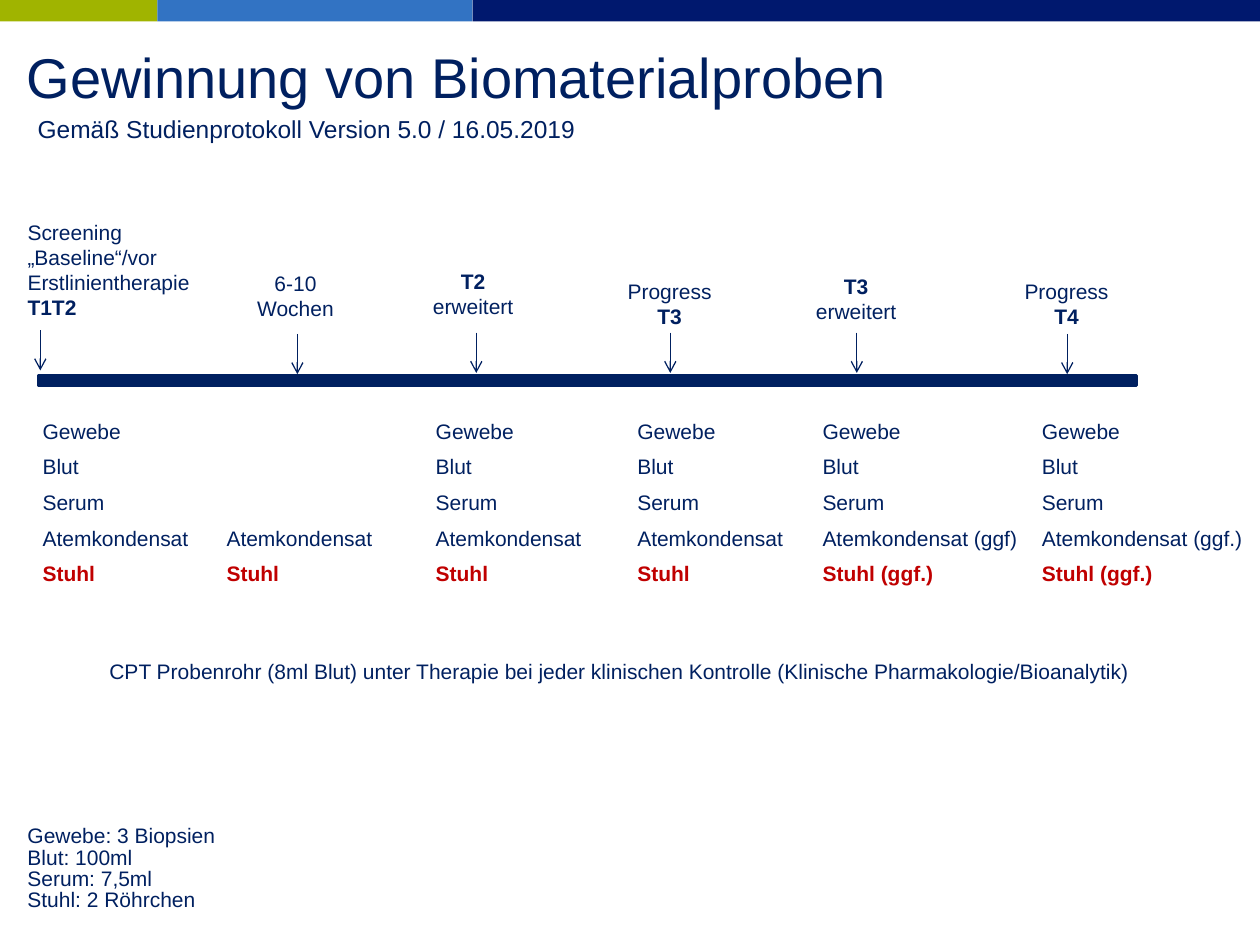
from lxml.etree import SubElement
from pptx import Presentation
from pptx.dml.color import RGBColor
from pptx.enum.shapes import MSO_CONNECTOR, MSO_SHAPE
from pptx.enum.text import MSO_ANCHOR, MSO_AUTO_SIZE, PP_ALIGN
from pptx.oxml.ns import qn
from pptx.util import Inches, Pt

NAVY = "002060"
RED = "C00000"
BANDS = [(0, 1.25, "A0B400"), (1.25, 2.5, "3273C3"), (3.75, 6.25, "00186E")]

# left, top, width, lines with their bold flag, centred
HEADS = [
    (0.12, 1.69, 1.85, [("Screening", False),
                        ("„Baseline“/vor Erstlinientherapie", False),
                        ("T1T2", True)], False),
    (1.94, 2.1, 0.81, [("6-10", False), ("Wochen", False)], True),
    (3.33, 2.08, 0.85, [("T2", True), ("erweitert", False)], True),
    (4.88, 2.16, 0.87, [("Progress", False), ("T3", True)], True),
    (6.37, 2.12, 0.85, [("T3", True), ("erweitert", False)], True),
    (8.03, 2.16, 0.87, [("Progress", False), ("T4", True)], True),
]
ARROWS = [(0.32, 2.62), (2.36, 2.65), (3.78, 2.64),
          (5.32, 2.64), (6.8, 2.64), (8.47, 2.65)]

BASE = ["Gewebe", "Blut", "Serum"]
FULL = BASE + ["Atemkondensat", "Stuhl"]
SAMPLES = [
    (0.24, FULL),
    (1.7, FULL[3:]),
    (3.36, FULL),
    (4.96, FULL),
    (6.43, BASE + ["Atemkondensat (ggf)", "Stuhl (ggf.)"]),
    (8.17, BASE + ["Atemkondensat (ggf.)", "Stuhl (ggf.)"]),
]
WIDTHS = {"Gewebe": 0.82, "Blut": 0.5, "Serum": 0.7, "Atemkondensat": 1.37,
          "Stuhl": 0.62, "Atemkondensat (ggf)": 1.76,
          "Atemkondensat (ggf.)": 1.81, "Stuhl (ggf.)": 1.09}
AMOUNTS = [("Gewebe: 3 Biopsien", 1.7), ("Blut: 100ml", 1.04),
           ("Serum: 7,5ml", 1.2), ("Stuhl: 2 Röhrchen", 1.54)]


def color(code):
    """Turn a hex string into a colour."""
    return RGBColor.from_string(code)


def style(item, values):
    """Set each attribute in a dict of format values."""
    for name, value in values.items():
        setattr(item, name, value)


def write(par, text, size=12, bold=False, code=NAVY):
    """Write one formatted run into a paragraph."""
    run = par.add_run()
    run.text = text
    style(run.font, {"name": "Arial", "size": Pt(size), "bold": bold})
    run.font.color.rgb = color(code)


def add_text(slide, at, lines, wrap=False, center=False, size=12, code=NAVY):
    """Add a text box with one paragraph for each (text, bold) pair."""
    box = slide.shapes.add_textbox(*map(Inches, at))
    frame = box.text_frame
    style(frame, {"word_wrap": wrap,
                  "auto_size": MSO_AUTO_SIZE.SHAPE_TO_FIT_TEXT})
    for i, (text, bold) in enumerate(lines):
        par = frame.add_paragraph() if i else frame.paragraphs[0]
        par.alignment = PP_ALIGN.CENTER if center else PP_ALIGN.LEFT
        write(par, text, size, bold, code)


def add_bar(slide, at, code, line=0):
    """Add a flat rectangle, with an outline if a width is given."""
    bar = slide.shapes.add_shape(MSO_SHAPE.RECTANGLE, *map(Inches, at))
    bar.shadow.inherit = False
    bar.fill.solid()
    bar.fill.fore_color.rgb = color(code)
    if line:
        bar.line.color.rgb = color(code)
        bar.line.width = Pt(line)
    else:
        bar.line.fill.background()


def add_arrow(slide, x, top, length=0.32):
    """Add an arrow that points down to the time line."""
    ends = map(Inches, (x, top, x, top + length))
    arrow = slide.shapes.add_connector(MSO_CONNECTOR.STRAIGHT, *ends)
    arrow.line.color.rgb = color(NAVY)
    arrow.line.width = Pt(0.75)
    props = arrow._element.spPr
    SubElement(props.find(qn("a:ln")), qn("a:tailEnd"), type="arrow")
    SubElement(props, qn("a:effectLst"))


def set_title(slide, text):
    """Place and format the title."""
    title = slide.shapes.title
    style(title, {"left": Inches(-0.59), "top": Inches(0.29),
                  "width": Inches(8.43), "height": Inches(0.64)})
    style(title.text_frame, {"word_wrap": True,
                             "auto_size": MSO_AUTO_SIZE.NONE,
                             "vertical_anchor": MSO_ANCHOR.TOP})
    par = title.text_frame.paragraphs[0]
    par.alignment = PP_ALIGN.CENTER
    write(par, text, 32)


def add_samples(slide, left, names):
    """Add a column of samples that ends on the last row."""
    first = len(FULL) - len(names)
    for row, name in enumerate(names, first):
        last = row == len(FULL) - 1
        at = (left, round(3.27 + 0.283 * row, 2), WIDTHS[name], 0.3)
        add_text(slide, at, [(name, last)], code=RED if last else NAVY)


def main():
    """Build the slide and save it."""
    deck = Presentation()
    style(deck, {"slide_width": Inches(10), "slide_height": Inches(7.5)})
    slide = deck.slides.add_slide(deck.slide_layouts[5])
    for left, width, code in BANDS:
        add_bar(slide, (left, 0, width, 0.17), code)
    set_title(slide, "Gewinnung von Biomaterialproben")
    add_text(slide, (0.2, 0.86, 8.86, 0.34),
             [("Gemäß Studienprotokoll Version 5.0 / 16.05.2019", False)],
             wrap=True, size=14)

    add_bar(slide, (0.31, 2.98, 8.71, 0.08), NAVY, line=2)
    for left, top, width, lines, center in HEADS:
        at = (left, top, width, 0.1 + 0.2 * len(lines))
        add_text(slide, at, lines, wrap=not center, center=center)
    for x, top in ARROWS:
        add_arrow(slide, x, top)
    for left, names in SAMPLES:
        add_samples(slide, left, names)

    add_text(slide, (0.77, 5.18, 8.86, 0.3),
             [("CPT Probenrohr (8ml Blut) unter Therapie bei jeder klinischen "
               "Kontrolle (Klinische Pharmakologie/Bioanalytik)", False)],
             wrap=True)
    for i, (text, width) in enumerate(AMOUNTS):
        add_text(slide, (0.12, 6.48 + 0.17 * i, width, 0.3), [(text, False)])
    deck.save("out.pptx")


main()
